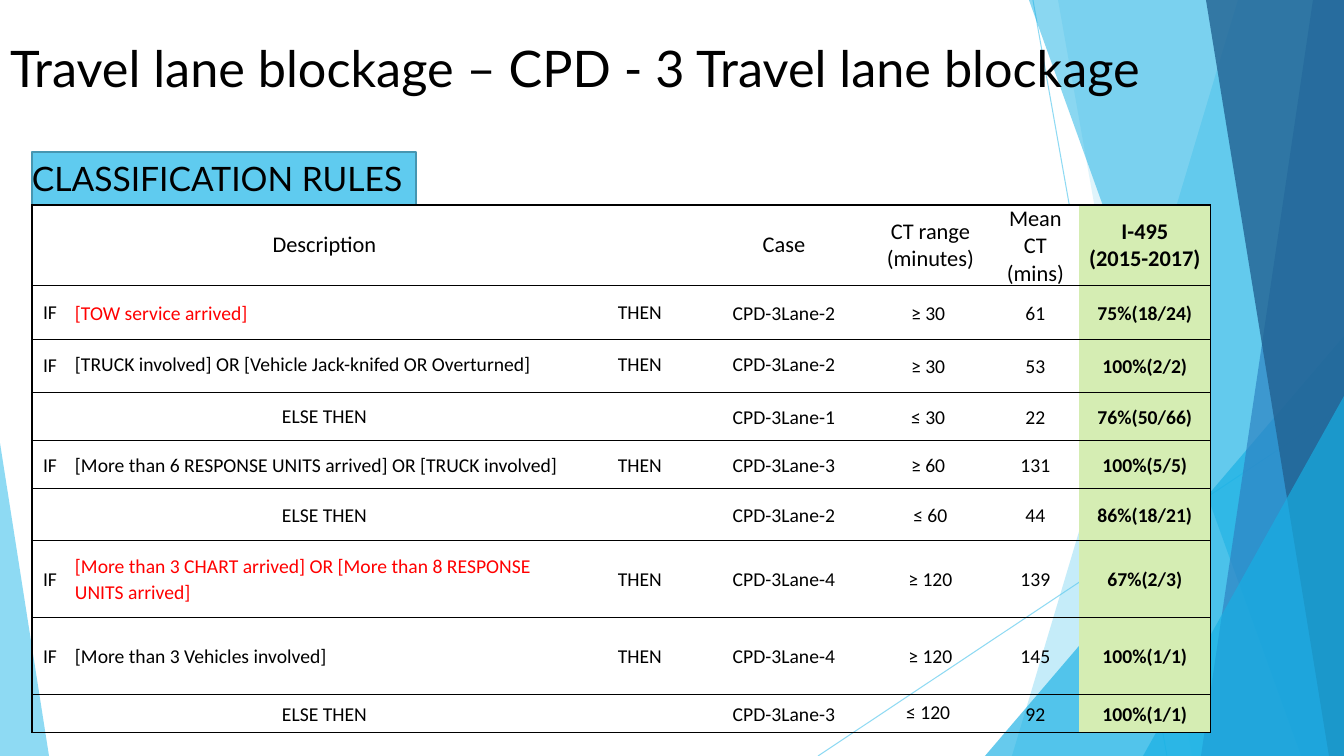
from lxml.etree import SubElement
from pptx import Presentation
from pptx.dml.color import RGBColor
from pptx.enum.shapes import MSO_CONNECTOR, MSO_SHAPE
from pptx.enum.text import MSO_ANCHOR, PP_ALIGN
from pptx.oxml.ns import qn
from pptx.util import Pt

W, H = 1344, 756
SCALE = 12192000 / W  # EMU per px

BLACK, WHITE, RED = "000000", "FFFFFF", "FF0000"
SKY, CYAN, BLUE, NAVY, TEAL = "5FCBEF", "17B0E4", "2E83C3", "226292", "4696B1"
GREEN = "D5EDB3"

COLS = [36, 513, 118, 170, 123, 87, 132]
ROWS = [71, 54, 53, 48, 48, 52, 77, 77, 38]
HEADER = ["", "Description", "", "Case", "CT range\n(minutes)",
          "Mean CT\n(mins)", "I-495\n(2015-2017)"]
# condition (empty for ELSE), case, CT range, mean CT, I-495 result
RULES = [
    ("[TOW service arrived]", "CPD-3Lane-2", "≥ 30 ", "61", "75%(18/24)"),
    ("[TRUCK involved] OR [Vehicle Jack-knifed OR Overturned]",
     "CPD-3Lane-2", "≥ 30 ", "53", "100%(2/2)"),
    ("", "CPD-3Lane-1", "≤ 30 ", "22", "76%(50/66)"),
    ("[More than 6 RESPONSE UNITS arrived] OR [TRUCK involved]",
     "CPD-3Lane-3", "≥ 60 ", "131", "100%(5/5)"),
    ("", "CPD-3Lane-2", "≤ 60", "44", "86%(18/21)"),
    ("[More than 3 CHART arrived] OR [More than 8 RESPONSE UNITS arrived]",
     "CPD-3Lane-4", "≥ 120", "139", "67%(2/3)"),
    ("[More than 3 Vehicles involved]", "CPD-3Lane-4", "≥ 120", "145", "100%(1/1)"),
    ("", "CPD-3Lane-3", "≤ 120 ", "92", "100%(1/1)"),
]
RED_ROWS = (1, 6)
# line spacing that differs from the body's 1.07, by (row, column)
SPACING = {(1, 0): 1, (1, 2): 1, (2, 0): 1, (2, 1): 0.8, (2, 2): 0.8,
           (2, 3): 0.8, (3, 1): 1, (8, 4): 0.9}


def px(n):
    return round(n * SCALE)


def rgb(color):
    return RGBColor.from_string(color)


def set_alpha(fill_owner, percent):
    clr = next(fill_owner.iter(qn("a:srgbClr")))
    SubElement(clr, qn("a:alpha")).set("val", str(percent * 1000))


def write(tf, text, size, font, color=BLACK, bold=False, align=PP_ALIGN.LEFT,
          spacing=1.0):
    tf.word_wrap = True
    tf.text = text
    for p in tf.paragraphs:
        p.alignment = align
        p.line_spacing = spacing
        for r in p.runs:
            r.font.size, r.font.name, r.font.bold = Pt(size), font, bold
            r.font.color.rgb = rgb(color)


def set_insets(owner, side=0, top=0):
    owner.margin_left = owner.margin_right = px(side)
    owner.margin_top = owner.margin_bottom = px(top)


# Background facets
def paint(sp, color, alpha):
    sp.shadow.inherit = False
    sp.fill.solid()
    sp.fill.fore_color.rgb = rgb(color)
    set_alpha(sp.fill._xPr, alpha)
    sp.line.fill.background()


def add_ray(s, x1, y1, x2, y2):
    line = s.shapes.add_connector(MSO_CONNECTOR.STRAIGHT, px(x1), px(y1), px(x2), px(y2))
    line.line.color.rgb = rgb(SKY)
    line.line.width = Pt(0.75)
    set_alpha(line.line._ln, 70)
    SubElement(line._element.spPr, qn("a:effectLst"))


def add_band(s, top_x, bottom_x, color, alpha):
    fb = s.shapes.build_freeform(top_x, 0, scale=SCALE)
    fb.add_line_segments([(W, 0), (W, H), (bottom_x, H)], close=True)
    paint(fb.convert_to_shape(), color, alpha)


def add_triangle(s, x, y, w, apex, color, alpha):
    sp = s.shapes.add_shape(MSO_SHAPE.ISOSCELES_TRIANGLE, px(x), px(y), px(w), px(H - y))
    sp.adjustments[0] = apex
    paint(sp, color, alpha)


def add_background(s):
    add_ray(s, 1033, 0, 1167, H)
    add_ray(s, W, 406, 818, H)
    add_band(s, 1238, 1012, SKY, 36)
    add_band(s, 1058, 1192, SKY, 20)
    add_triangle(s, 985, 336, 359, 1, CYAN, 66)
    add_band(s, 1029, 1301, CYAN, 50)
    add_band(s, 1313, 1201, BLUE, 70)
    add_band(s, 1206, 1329, NAVY, 80)
    add_triangle(s, 1143, 396, 201, 1, CYAN, 66)
    add_triangle(s, 0, 443, 49, 0, SKY, 70)


# Title and section label
def add_title(s, x, y, w, h):
    tf = s.shapes.add_textbox(px(x), px(y), px(w), px(h)).text_frame
    set_insets(tf, 10, 5)
    write(tf, "Travel lane blockage – CPD - 3 Travel lane blockage", 36, "Lato")


def add_label(s, x, y, w, h):
    sp = s.shapes.add_shape(MSO_SHAPE.RECTANGLE, px(x), px(y), px(w), px(h))
    sp.shadow.inherit = False
    sp.fill.solid()
    sp.fill.fore_color.rgb = rgb(SKY)
    sp.line.color.rgb = rgb(TEAL)
    sp.line.width = Pt(1.5)
    tf = sp.text_frame
    set_insets(tf)
    tf.vertical_anchor = MSO_ANCHOR.MIDDLE
    write(tf, "CLASSIFICATION RULES", 24, "Lato")


# Rules table
def set_borders(cell, sides):
    tcPr = cell._tc.get_or_add_tcPr()
    for i, side in enumerate("LRTB"):
        ln = tcPr.makeelement(qn("a:ln" + side), {"w": str(Pt(1))})
        if side in sides:
            fill = SubElement(ln, qn("a:solidFill"))
            SubElement(fill, qn("a:srgbClr")).set("val", BLACK)
        else:
            SubElement(ln, qn("a:noFill"))
        tcPr.insert(i, ln)


def rule_cells(condition, *results):
    if condition:
        return ["IF", condition, "THEN", *results]
    return ["", "ELSE THEN", "", *results]


def fill_cell(cell, row, col, text):
    last = len(COLS) - 1
    set_insets(cell, 0 if row and col == last else 7)
    cell.vertical_anchor = MSO_ANCHOR.MIDDLE
    if col == last or row == 0:
        cell.fill.solid()
        cell.fill.fore_color.rgb = rgb(GREEN if col == last else WHITE)
    else:
        cell.fill.background()
    set_borders(cell, "TB" + {0: "L", last: "R"}.get(col, ""))
    condition = col == 1 and text.startswith("[")
    write(cell.text_frame, text, 14 if row else 16, "Calibri",
          color=RED if condition and row in RED_ROWS else BLACK,
          bold=col == last,
          align=PP_ALIGN.LEFT if condition else PP_ALIGN.CENTER,
          spacing=SPACING.get((row, col), 1.07) if row else 1.0)


def add_rules(s, x, y):
    table = s.shapes.add_table(len(ROWS), len(COLS), px(x), px(y),
                               px(sum(COLS)), px(sum(ROWS))).table
    table.first_row = table.horz_banding = False
    for column, w in zip(table.columns, COLS):
        column.width = px(w)
    for row, h in zip(table.rows, ROWS):
        row.height = px(h)
    for i, texts in enumerate([HEADER] + [rule_cells(*rule) for rule in RULES]):
        for j, text in enumerate(texts):
            fill_cell(table.cell(i, j), i, j, text)


def main():
    prs = Presentation()
    prs.slide_width, prs.slide_height = px(W), px(H)
    s = prs.slides.add_slide(prs.slide_layouts[6])
    add_background(s)
    add_title(s, 0, 32, 1244, 146)
    add_label(s, 32, 152, 384, 53)
    add_rules(s, 32, 205)
    prs.save("out.pptx")


if __name__ == "__main__":
    main()
